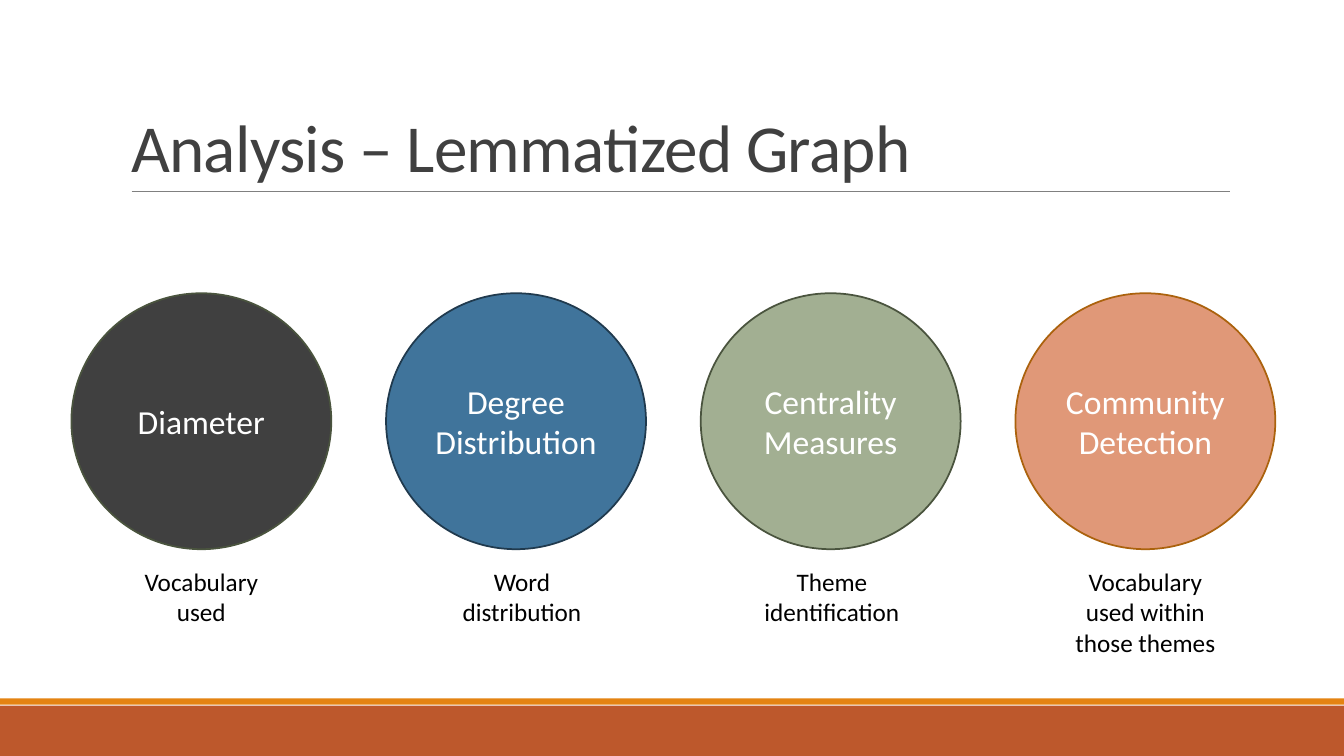
from lxml import etree
from pptx import Presentation
from pptx.dml.color import RGBColor
from pptx.enum.shapes import MSO_CONNECTOR, MSO_SHAPE
from pptx.enum.text import MSO_ANCHOR, MSO_AUTO_SIZE, PP_ALIGN
from pptx.oxml.ns import qn
from pptx.util import Cm, Pt

OVAL, RECTANGLE = MSO_SHAPE.OVAL, MSO_SHAPE.RECTANGLE
CENTER, LEFT = PP_ALIGN.CENTER, PP_ALIGN.LEFT
TOP, MIDDLE, BOTTOM = MSO_ANCHOR.TOP, MSO_ANCHOR.MIDDLE, MSO_ANCHOR.BOTTOM
NO_FIT, GROW = MSO_AUTO_SIZE.NONE, MSO_AUTO_SIZE.SHAPE_TO_FIT_TEXT

# Content
TITLE = "Analysis – Lemmatized Graph"
# label, fill, outline, caption, caption width and shift from the circle centre (cm)
MEASURES = [
    ("Diameter", "404040", "4A543E", "Vocabulary used", 3.43, 0),
    ("Degree Distribution", "40749B", "203A4E", "Word distribution", 3.71, 0.15),
    ("Centrality Measures", "A2AF92", "4A543E", "Theme identification", 3.99, 0.03),
    ("Community Detection", "E09878", "AB620D", "Vocabulary used within those themes", 4.24, 0),
]
THEME = {
    "font": "Calibri",
    "title": {"size": 48, "color": "404040"},
    "label": {"size": 24, "color": "FFFFFF"},
    "caption": {"size": 18, "color": "000000"},
    "rule": "808080",
}
# top, height (cm) and colour of the footer bands
BANDS = [(17.78, 1.27, "BD582C"), (17.6, 0.16, "E48312")]

# Layout in cm
SLIDE_WIDTH, SLIDE_HEIGHT = 33.87, 19.05
CIRCLE_LEFT, CIRCLE_TOP, CIRCLE_PITCH = 1.8, 7.39, 7.93
CIRCLE_WIDTH, CIRCLE_HEIGHT = 6.55, 6.45
CAPTION_TOP, CAPTION_HEIGHT = 14.15, 1.8


def color(value):
    return RGBColor.from_string(value)


def write(shape, text, style, alignment, anchor, auto_size=NO_FIT):
    frame = shape.text_frame
    frame.text = text
    frame_format = {"word_wrap": True, "vertical_anchor": anchor, "auto_size": auto_size}
    for name, value in frame_format.items():
        setattr(frame, name, value)
    paragraph = frame.paragraphs[0]
    paragraph.alignment = alignment
    font = paragraph.runs[0].font
    for name, value in {"name": THEME["font"], "size": Pt(style["size"])}.items():
        setattr(font, name, value)
    font.color.rgb = color(style["color"])
    return paragraph


def add_filled(slide, kind, box, fill, outline=None):
    shape = slide.shapes.add_shape(kind, *map(Cm, box))
    shape.shadow.inherit = False
    shape.fill.solid()
    shape.fill.fore_color.rgb = color(fill)
    if outline:
        shape.line.color.rgb = color(outline)
        shape.line.width = Pt(1.25)
    else:
        shape.line.fill.background()
    return shape


def main():
    presentation = Presentation()
    presentation.slide_width, presentation.slide_height = Cm(SLIDE_WIDTH), Cm(SLIDE_HEIGHT)
    slide = presentation.slides.add_slide(presentation.slide_layouts[5])

    # Footer bands and title rule
    for top, height, fill in BANDS:
        add_filled(slide, RECTANGLE, (0, top, SLIDE_WIDTH, height), fill)
    rule = slide.shapes.add_connector(
        MSO_CONNECTOR.STRAIGHT, Cm(3.32), Cm(4.83), Cm(31), Cm(4.83))
    rule.line.color.rgb = color(THEME["rule"])
    rule.line.width = Pt(0.5)
    etree.SubElement(rule._element.spPr, qn("a:effectLst"))

    # Title
    title = slide.shapes.title
    title_box = {"left": 3.05, "top": 0.79, "width": 27.94, "height": 4.04}
    for name, value in title_box.items():
        setattr(title, name, Cm(value))
    paragraph = write(title, TITLE, THEME["title"], LEFT, BOTTOM)
    paragraph.line_spacing = 0.85
    paragraph.runs[0].font._element.set("spc", "-50")

    # Circles with captions
    for index, (label, fill, outline, caption, width, shift) in enumerate(MEASURES):
        left = CIRCLE_LEFT + index * CIRCLE_PITCH
        circle = add_filled(
            slide, OVAL, (left, CIRCLE_TOP, CIRCLE_WIDTH, CIRCLE_HEIGHT), fill, outline)
        write(circle, label, THEME["label"], CENTER, MIDDLE)
        caption_left = left + (CIRCLE_WIDTH - width) / 2 + shift
        caption_box = slide.shapes.add_textbox(
            Cm(caption_left), Cm(CAPTION_TOP), Cm(width), Cm(CAPTION_HEIGHT))
        write(caption_box, caption, THEME["caption"], CENTER, TOP, GROW)

    presentation.save("out.pptx")


if __name__ == "__main__":
    main()
